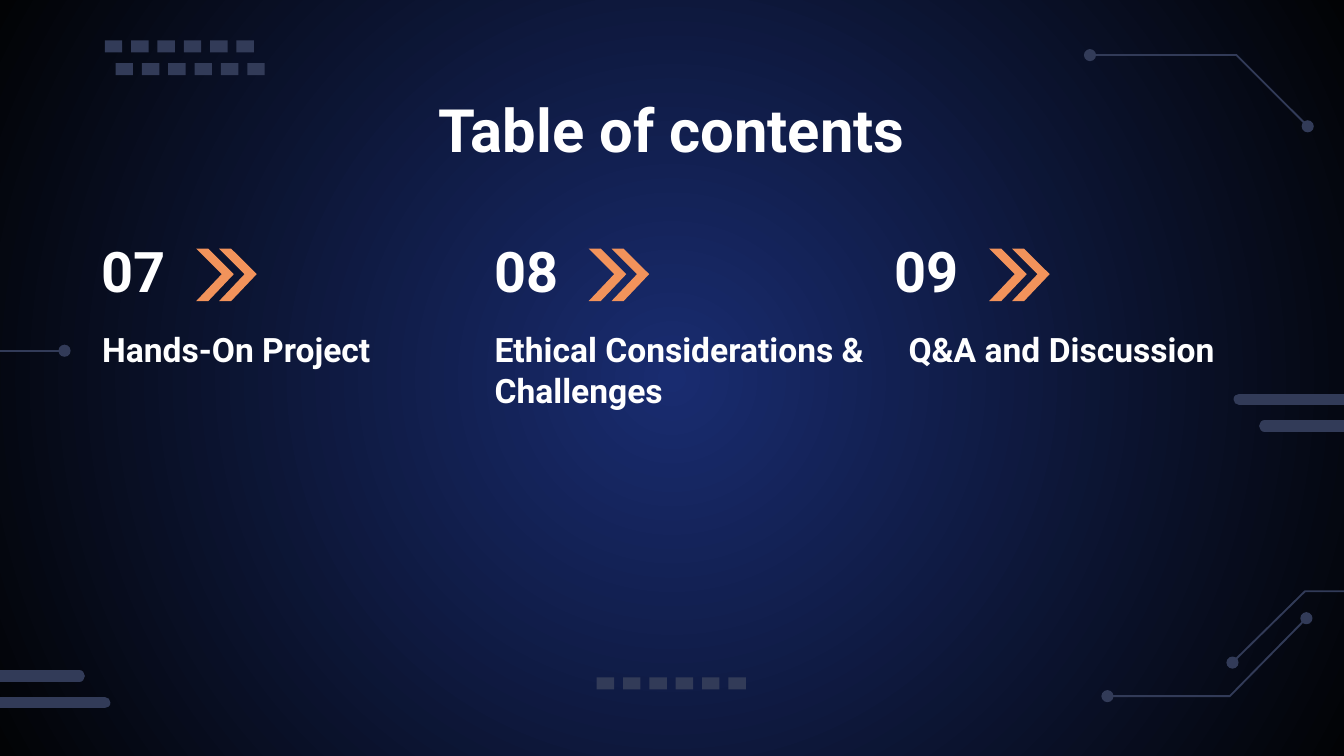
"""Build a table of contents slide with three numbered topics on a dark blue backdrop."""
from lxml import etree
from pptx import Presentation
from pptx.dml.color import RGBColor
from pptx.enum.shapes import MSO_CONNECTOR, MSO_SHAPE
from pptx.enum.text import MSO_ANCHOR, MSO_AUTO_SIZE, PP_ALIGN
from pptx.oxml.ns import qn
from pptx.util import Inches, Pt

STRAIGHT = MSO_CONNECTOR.STRAIGHT
OVAL, RECT = MSO_SHAPE.OVAL, MSO_SHAPE.RECTANGLE
TOP, BOTTOM = MSO_ANCHOR.TOP, MSO_ANCHOR.BOTTOM
LEFT, CENTER = PP_ALIGN.LEFT, PP_ALIGN.CENTER
NO_FIT = MSO_AUTO_SIZE.NONE
WHITE = RGBColor(0xFF, 0xFF, 0xFF)
SLATE = RGBColor(0x32, 0x3B, 0x58)
ORANGE = RGBColor(0xF2, 0x93, 0x5B)
NAVY = RGBColor(0x19, 0x2C, 0x70)
BLACK = RGBColor(0x02, 0x03, 0x05)


def trace(points, closed):
    spots = [(Inches(x), Inches(y)) for x, y in points]
    pen = shapes.build_freeform(*spots[0])
    pen.add_line_segments(spots[1:], close=closed)
    shape = pen.convert_to_shape()
    shape.shadow.inherit = False
    return shape


def write(box, text, place, size, align, anchor):
    box.left, box.top, box.width, box.height = [Inches(n) for n in place]
    frame = box.text_frame
    frame.text = text
    frame.word_wrap = True
    frame.auto_size = NO_FIT
    frame.vertical_anchor = anchor
    frame.margin_left = frame.margin_right = Inches(0.1)
    frame.margin_top = frame.margin_bottom = Inches(0.1)
    para = frame.paragraphs[0]
    props = para._p.get_or_add_pPr()
    props.set("marL", "0")
    props.set("indent", "0")
    etree.SubElement(props, qn("a:buNone"))
    para.alignment = align
    para.space_before = Pt(0)
    para.line_spacing = 1.0
    font = para.runs[0].font
    font.name, font.size, font.bold = "Roboto", Pt(size), True
    font.color.rgb = WHITE


prs = Presentation()
prs.slide_width, prs.slide_height = Inches(10), Inches(10 * 9 / 16)
slide = prs.slides.add_slide(prs.slide_layouts[4])
shapes = slide.shapes

fill = slide.background.fill
fill.gradient()
for stop, color, pos in zip(fill.gradient_stops, (NAVY, BLACK), (0, 1)):
    stop.color.rgb = color
    stop.position = pos
grad = slide.element.find(".//" + qn("a:gradFill"))
grad.remove(grad.find(qn("a:lin")))
radial = etree.SubElement(grad, qn("a:path"))
radial.set("path", "circle")
center = etree.SubElement(radial, qn("a:fillToRect"))
for side in "ltrb":
    center.set(side, "50000")

wires = [
    [(8.11, 0.41), (9.2, 0.41), (9.73, 0.94)],
    [(9.17, 4.93), (9.71, 4.4), (10, 4.4)],
    [(8.24, 5.18), (9.15, 5.18), (9.72, 4.6)],
]
for points in wires:
    wire = trace(points, False)
    wire.fill.background()
    wire.line.color.rgb = SLATE
    wire.line.width = Pt(1)

bars = [
    (0, 2.61, 0.48, 1),
    (9.22, 2.97, 10, 6),
    (9.41, 3.17, 10, 6),
    (0, 5.03, 0.59, 6),
    (0, 5.23, 0.78, 6),
]
for start, y, end, width in bars:
    bar = shapes.add_connector(STRAIGHT, Inches(start), Inches(y), Inches(end), Inches(y))
    bar.line.color.rgb = SLATE
    bar.line.width = Pt(width)
    bar.line._get_or_add_ln().set("cap", "rnd")
    etree.SubElement(bar._element.spPr, qn("a:effectLst"))

dots = [(0.48, 2.61), (8.11, 0.41), (9.73, 0.94), (9.17, 4.93), (8.24, 5.18), (9.72, 4.6)]
marks = [(OVAL, x - 0.09 / 2, y - 0.09 / 2, 0.09) for x, y in dots]
for x, y in [(0.78, 0.3), (0.86, 0.47), (4.44, 5.04)]:
    marks += [(RECT, x + 0.98 * i / 5, y, 0.13) for i in range(6)]
for kind, x, y, width in marks:
    mark = shapes.add_shape(kind, Inches(x), Inches(y), Inches(width), Inches(0.09))
    mark.shadow.inherit = False
    mark.fill.solid()
    mark.fill.fore_color.rgb = SLATE
    mark.line.fill.background()

write(shapes.title, "Table of contents", (1, 0.59, 8, 0.63), 32, CENTER, TOP)

topics = [
    ("07", 0.66, "Hands-On Project", 0.66, 2.38),
    ("08", 3.58, "Ethical Considerations & Challenges", 3.58, 2.95),
    ("09", 6.56, "Q&A and Discussion", 6.66, 2.69),
]
arrow = [(0, 0), (0.09, 0), (0.28, 0.19), (0.09, 0.39), (0, 0.39), (0.19, 0.19)]
holders = list(slide.placeholders)[1:]
for holder, (number, x, topic, left, width) in zip(holders, topics):
    box = shapes.add_textbox(0, 0, 0, 0)
    write(box, number, (x, 1.73, 0.8, 0.63), 30, LEFT, BOTTOM)
    write(holder, topic, (left, 2.35, width, 0.82), 18, LEFT, TOP)
    for shift in (0.8, 0.97):
        chevron = trace([(x + shift + dx, 1.85 + dy) for dx, dy in arrow], True)
        chevron.fill.solid()
        chevron.fill.fore_color.rgb = ORANGE
        chevron.line.fill.background()

spare = holders[3]._element
spare.getparent().remove(spare)

prs.save("out.pptx")
